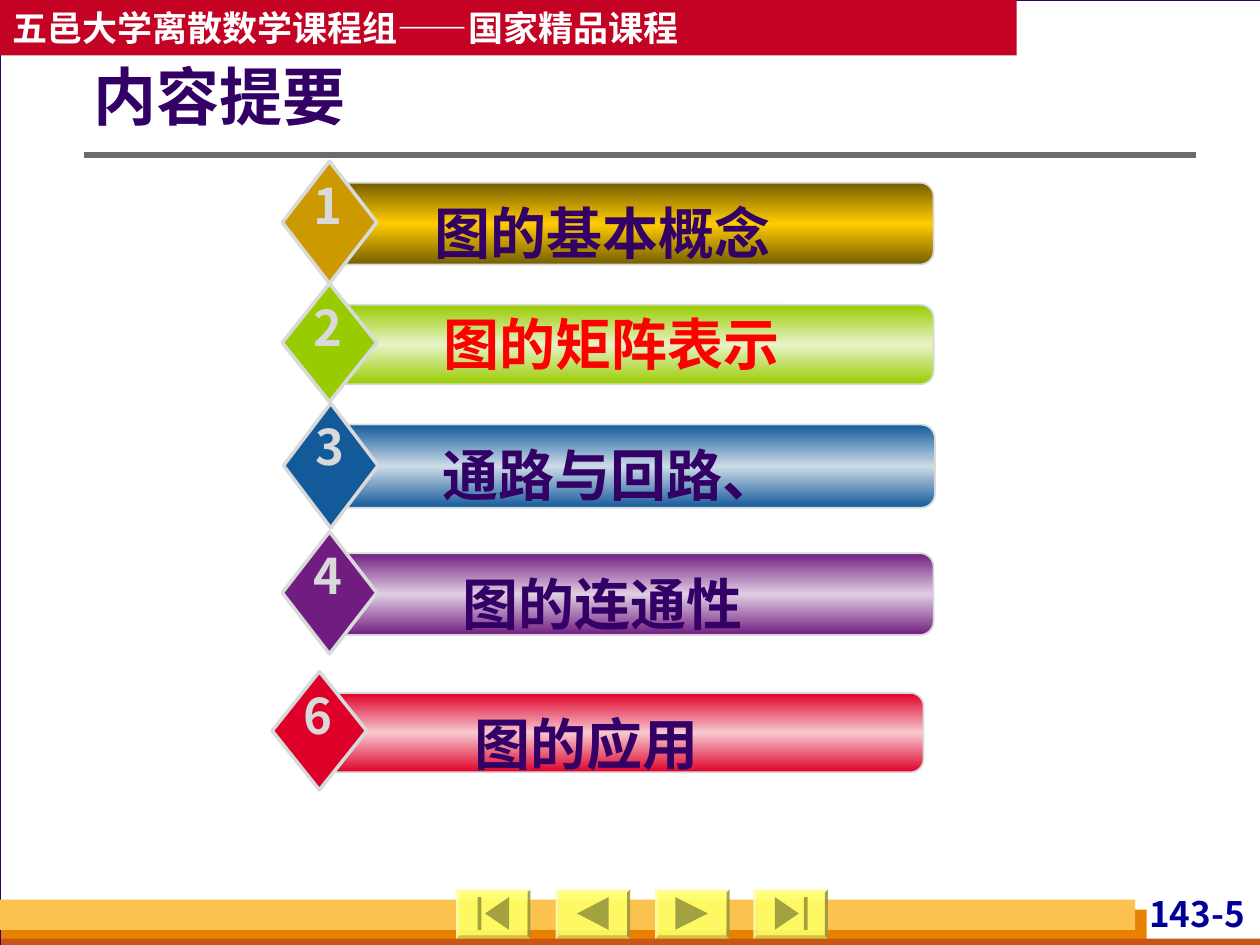
import copy
from dataclasses import dataclass

import pptx
import pptx.dml.color
import pptx.enum.shapes
import pptx.enum.text
import pptx.oxml
import pptx.oxml.ns
import pptx.util

PX = 9144  # EMU in one px, 100 px to the inch
FONT = "Noto Sans CJK SC"
COLORS = {
    "white": "FFFFFF", "ink": "330066", "header": "C30224", "rule": "6B6B6B",
    "orange": "E88000", "rust": "C95616", "amber": "FCC24F", "page": "000099",
    "button": "FFFF66", "icon": "99993D", "edge": "D8DADA", "red": "FF0000",
}
SHAPE = pptx.enum.shapes.MSO_SHAPE
ALIGN = pptx.enum.text.PP_ALIGN
ANCHOR = pptx.enum.text.MSO_ANCHOR
qn = pptx.oxml.ns.qn


@dataclass
class Item:
    number: str
    label: str
    left: int
    top: int
    height: int
    diamond: str
    outer: str
    middle: str
    label_color: str = "ink"
    label_dx: int = 67
    label_dy: int = 25
    label_width: int = 375
    label_height: int = 64


@dataclass
class Button:
    left: int
    outlines: list[list[tuple[int, int]]]  # icon corners, from the button's corner


ITEMS = [
    Item("1", "图的基本概念", 224, 128, 97, "CC9900", "755E00", "FFCC00", label_height=117),
    Item("2", "图的矩阵表示", 224, 225, 94, "99CC00", "99CC00", "E8F3C8",
         "red", 118, 16, 287),
    Item("3", " 通路与回路、", 225, 320, 99, "135A9A", "135A9A", "CCDBE8"),
    Item("4", "图的连通性", 224, 422, 97, "711C81", "711C81", "E0CEE3"),
    Item("6", "图的应用 ", 216, 533, 94, "DF0029", "DF0029", "F7C8D0"),
]
BUTTONS = [
    Button(362, [[(23, 19), (42, 6), (42, 32)], [(17, 6), (20, 6), (20, 32), (17, 32)]]),
    Button(441, [[(17, 19), (42, 6), (42, 32)]]),
    Button(520, [[(16, 6), (42, 19), (16, 32)]]),
    Button(598, [[(36, 19), (17, 32), (17, 6)], [(40, 6), (43, 6), (43, 32), (40, 32)]]),
]


def rgb(value: str) -> pptx.dml.color.RGBColor:
    return pptx.dml.color.RGBColor.from_string(value)


def paint(shape, fill: str, line: str | None = None, width: float = 1) -> None:
    shape.shadow.inherit = False
    shape.fill.solid()
    shape.fill.fore_color.rgb = rgb(fill)
    outline(shape, line, width)


def outline(shape, line: str | None, width: float) -> None:
    if line is None:
        shape.line.fill.background()
    else:
        shape.line.color.rgb = rgb(line)
        shape.line.width = pptx.util.Pt(width)


def make_translucent(shape, percent: int) -> None:
    color = shape.fill._xPr.find(qn("a:solidFill"))[0]
    alpha = color.makeelement(qn("a:alpha"), {"val": str(percent * 1000)})
    color.append(alpha)


def add_block(shapes, kind, left: int, top: int, width: int, height: int):
    return shapes.add_shape(kind, left * PX, top * PX, width * PX, height * PX)


def write(box, text: str, size: int, color: str, align=ALIGN.LEFT,
          anchor=ANCHOR.TOP, wrap: bool = True) -> None:
    frame = box.text_frame
    frame.text = text
    frame.word_wrap = wrap
    frame.vertical_anchor = anchor
    para = frame.paragraphs[0]
    para.alignment = align
    span = para.runs[0]
    span.font.size = pptx.util.Pt(size)
    span.font.bold = True
    span.font.color.rgb = rgb(color)
    span.font.name = FONT
    latin = span.font._element.find(qn("a:latin"))
    latin.addnext(latin.makeelement(qn("a:ea"), {"typeface": FONT}))


def add_text(shapes, left: int, top: int, width: int, height: int, text: str,
             size: int, color: str, align, wrap: bool = True):
    box = shapes.add_textbox(left * PX, top * PX, width * PX, height * PX)
    write(box, text, size, color, align, wrap=wrap)
    return box


def fill_gradient(shape, outer: str, middle: str) -> None:
    shape.fill.gradient()
    shape.fill.gradient_angle = 270
    first, last = shape.fill.gradient_stops
    first.color.rgb = rgb(outer)
    last.color.rgb = rgb(outer)
    stops = shape._element.spPr.find(qn("a:gradFill")).find(qn("a:gsLst"))
    center = copy.deepcopy(stops[0])
    center.set("pos", "50000")
    center[0].set("val", middle)
    stops.insert(1, center)


def add_item(page, item: Item) -> None:
    shapes = page.shapes.add_group_shape().shapes
    bar = add_block(shapes, SHAPE.ROUNDED_RECTANGLE, item.left + 42, item.top + 17,
                    475, round(item.height * 2 / 3))
    bar.shadow.inherit = False
    fill_gradient(bar, item.outer, item.middle)
    outline(bar, COLORS["edge"], 1)
    diamond = add_block(shapes, SHAPE.DIAMOND, item.left, item.top, 75, item.height)
    paint(diamond, item.diamond, COLORS["edge"], 2)
    add_text(shapes, item.left + item.label_dx, item.top + item.label_dy,
             item.label_width, item.label_height, item.label, 32,
             COLORS[item.label_color], ALIGN.CENTER)
    add_text(shapes, item.left + 15, item.top + 6, 43, 57, item.number, 28,
             COLORS["edge"], ALIGN.CENTER, wrap=False)


def add_button(page, button: Button) -> None:
    top = 706
    face = add_block(page.shapes, SHAPE.BEVEL, button.left, top, 59, 39)
    face.adjustments[0] = 0.06
    paint(face, COLORS["button"])
    make_translucent(face, 90)
    for outline_points in button.outlines:
        corners = [(button.left + x, top + y) for x, y in outline_points]
        builder = page.shapes.build_freeform(*corners[0], scale=PX)
        builder.add_line_segments(corners[1:], close=True)
        icon = builder.convert_to_shape()
        paint(icon, COLORS["icon"])
        make_translucent(icon, 90)


def main() -> None:
    deck = pptx.Presentation()
    deck.slide_width, deck.slide_height = 1000 * PX, 750 * PX
    page = deck.slides.add_slide(deck.slide_layouts[5])
    page.background.fill.solid()
    page.background.fill.fore_color.rgb = rgb(COLORS["edge"])

    # Frame, header and footer bands
    frame = add_block(page.shapes, SHAPE.RECTANGLE, 0, 0, 1001, 750)
    paint(frame, COLORS["white"], COLORS["ink"], 0.75)
    header = add_block(page.shapes, SHAPE.RECTANGLE, 0, 0, 807, 44)
    paint(header, COLORS["header"])
    write(header, "五邑大学离散数学课程组——国家精品课程", 20, COLORS["white"],
          anchor=ANCHOR.MIDDLE)
    for color, *place in [("orange", 1, 722, 909, 28), ("rust", 1, 745, 1000, 8),
                          ("amber", 0, 714, 901, 24)]:
        paint(add_block(page.shapes, SHAPE.RECTANGLE, *place), COLORS[color])

    # Page number
    number = add_text(page.shapes, 870, 708, 122, 33, "143-5", 20, COLORS["page"],
                      ALIGN.RIGHT)
    number.text_frame.margin_left = number.text_frame.margin_right = 4 * PX
    number.text_frame.margin_top = number.text_frame.margin_bottom = 0

    # Rule under the title
    rule = page.shapes.add_connector(pptx.enum.shapes.MSO_CONNECTOR.STRAIGHT,
                                     67 * PX, 123 * PX, 949 * PX, 123 * PX)
    outline(rule, COLORS["rule"], 3)
    properties = rule._element.spPr
    properties.append(properties.makeelement(qn("a:effectLst"), {}))

    # Navigation buttons
    for button in BUTTONS:
        add_button(page, button)

    # Title, brought in front of the frame
    title = page.shapes.title
    title.left, title.top, title.width, title.height = 74 * PX, 41 * PX, 868 * PX, 77 * PX
    write(title, "内容提要", 36, COLORS["ink"], anchor=ANCHOR.MIDDLE)
    title.text_frame.margin_left = 0
    title.text_frame.paragraphs[0].line_spacing = 0.9
    page.shapes.element.append(title.element)

    # Contents list
    for item in ITEMS:
        add_item(page, item)

    deck.save("out.pptx")


if __name__ == "__main__":
    main()
